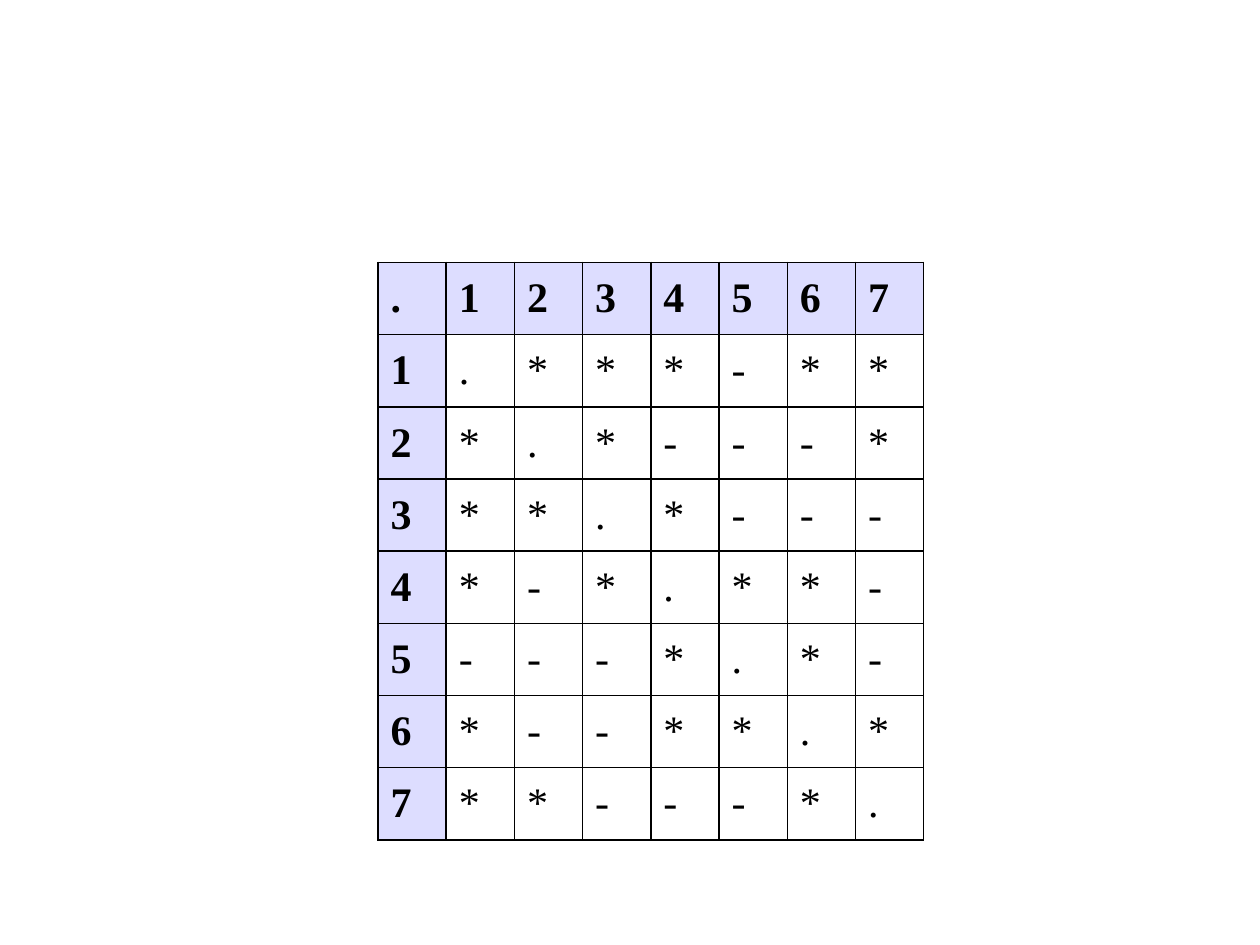
import pptx
import pptx.dml.color
import pptx.enum.text
import pptx.util
from lxml import etree
from pptx.oxml.ns import qn

Cm = pptx.util.Cm
Pt = pptx.util.Pt
RGBColor = pptx.dml.color.RGBColor

MATRIX = [
    ".1234567",
    "1.***-**",
    "2*.*---*",
    "3**.*---",
    "4*-*.**-",
    "5---*.*-",
    "6*--**.*",
    "7**---*.",
]

BLACK = RGBColor(0x00, 0x00, 0x00)
LAVENDER = RGBColor(0xDD, 0xDD, 0xFF)
FONT = "Times New Roman"
LEFT, TOP = Cm(7.62), Cm(5.29)
WIDTH, HEIGHT = Cm(11), Cm(11.64)
INDENT = Cm(0.95)


def add_borders(cell):
    properties = cell._tc.get_or_add_tcPr()
    for side in ("lnL", "lnR", "lnT", "lnB"):
        line = etree.SubElement(properties, qn("a:" + side), w=str(Pt(1)))
        fill = etree.SubElement(line, qn("a:solidFill"))
        etree.SubElement(fill, qn("a:srgbClr"), val=str(BLACK))


def format_cell(cell, symbol, is_header):
    add_borders(cell)
    if is_header:
        cell.fill.solid()
        cell.fill.fore_color.rgb = LAVENDER
    else:
        cell.fill.background()
    cell.vertical_anchor = pptx.enum.text.MSO_ANCHOR.MIDDLE
    cell.text_frame.text = symbol
    para = cell.text_frame.paragraphs[0]
    properties = para._p.get_or_add_pPr()
    properties.set("marL", str(INDENT))
    properties.set("indent", str(-INDENT))
    span = para.runs[0]
    span.font.name = FONT
    span.font.size = Pt(24)
    span.font.bold = is_header
    span.font.color.rgb = BLACK


def main():
    deck = pptx.Presentation()
    deck.slide_width, deck.slide_height = Cm(25.4), Cm(19.05)
    page = deck.slides.add_slide(deck.slide_layouts[6])
    size = len(MATRIX)
    table = page.shapes.add_table(size, size, LEFT, TOP, WIDTH, HEIGHT).table
    table.horz_banding = False
    for row, symbols in enumerate(MATRIX):
        for column, symbol in enumerate(symbols):
            format_cell(table.cell(row, column), symbol, row == 0 or column == 0)
    deck.save("out.pptx")


if __name__ == "__main__":
    main()
